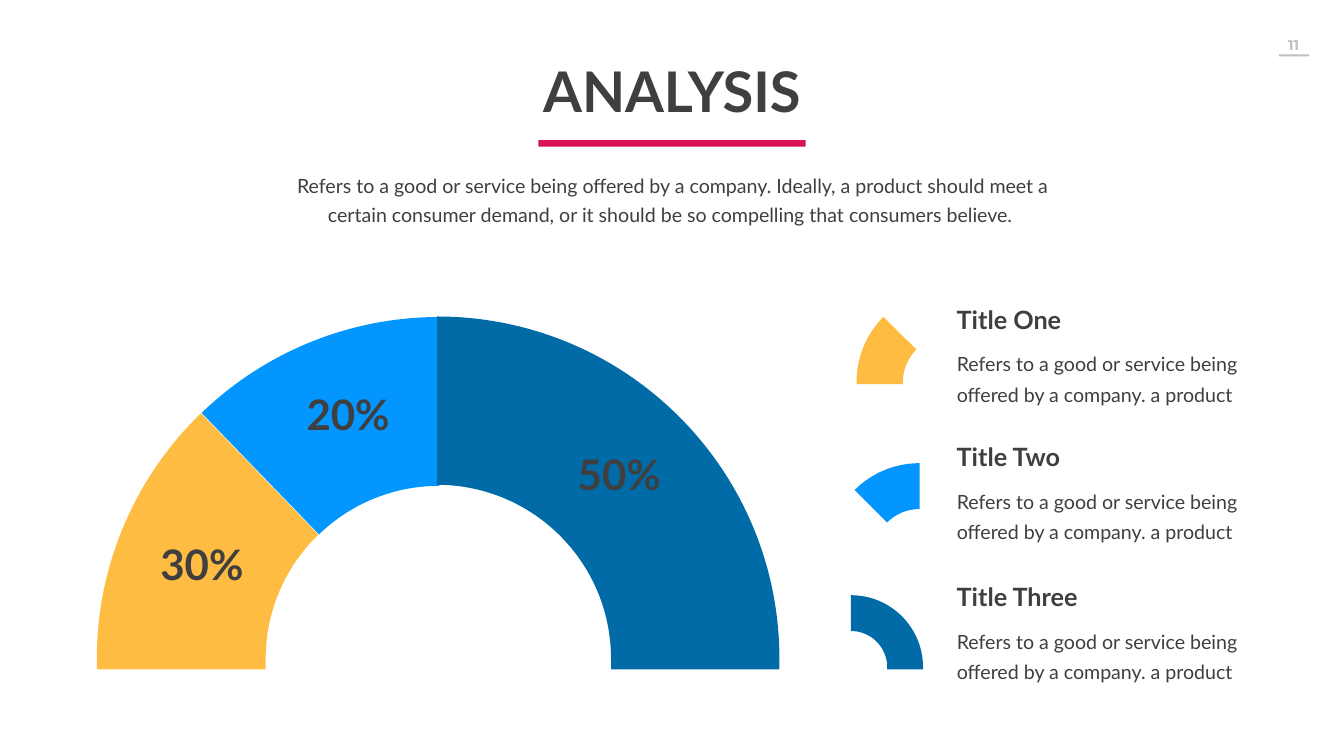
from dataclasses import dataclass
from math import cos, radians, sin, tan

from lxml.etree import SubElement
from pptx import Presentation
from pptx.dml.color import RGBColor
from pptx.enum.shapes import MSO_SHAPE
from pptx.enum.text import MSO_AUTO_SIZE, PP_ALIGN
from pptx.oxml.ns import qn
from pptx.util import Inches, Pt


@dataclass(frozen=True)
class Theme:
    ink: str = "3F3F3F"
    gray: str = "BFBFBF"
    red: str = "D81159"
    gold: str = "FFBC42"
    sky: str = "0496FF"
    navy: str = "006BA6"
    font: str = "Lato"
    alt: str = "Montserrat"
    title: int = 80
    value: int = 60
    head: int = 36
    body: int = 28
    page: int = 20


theme = Theme()
deck = Presentation()
deck.slide_width, deck.slide_height = Inches(26.66), Inches(15)
slide = deck.slides.add_slide(deck.slide_layouts[6])


def write(text, box, size, bold=True, align=PP_ALIGN.CENTER, lead=None,
          pad=(0.1, 0.05), font=theme.font, color=theme.ink):
    frame = slide.shapes.add_textbox(*map(Inches, box)).text_frame
    frame.word_wrap = True
    frame.auto_size = MSO_AUTO_SIZE.SHAPE_TO_FIT_TEXT
    frame.margin_left = frame.margin_right = Inches(pad[0])
    frame.margin_top = frame.margin_bottom = Inches(pad[1])
    para = frame.paragraphs[0]
    para.alignment = align
    if lead:
        para.line_spacing = Pt(lead)
    run = para.add_run()
    run.text = text
    run.font.size, run.font.bold, run.font.name = Pt(size), bold, font
    run.font.color.rgb = RGBColor.from_string(color)


def wedge(mid, outer, inner, start, end, drop, color):
    """Draw a ring slice; its ends on the base line reach down by drop."""
    points, curves = [], []
    for size, first, last in ((outer, start, end), (inner, end, start)):
        a, b = radians(first), radians(last)
        pull = 4 / 3 * tan((b - a) / 4)
        curves.append(len(points))
        points += [(cos(a) * size, sin(a) * size),
                   ((cos(a) - pull * sin(a)) * size,
                    (sin(a) + pull * cos(a)) * size),
                   ((cos(b) + pull * sin(b)) * size,
                    (sin(b) - pull * cos(b)) * size),
                   (cos(b) * size, sin(b) * size)]
        if last in (0, 180):
            ends = (outer, inner) if last == 0 else (inner, outer)
            points += [(cos(b) * foot, -drop) for foot in ends]
    spots = [(Inches(mid[0] + x), Inches(mid[1] - y)) for x, y in points]
    draft = slide.shapes.build_freeform(*spots[0], scale=1.0)
    draft.add_line_segments(spots[1:], close=True)
    shape = draft.convert_to_shape()

    # Turn each arc's three segments into one Bezier curve
    track = shape.element.find(".//" + qn("a:path"))
    parts = list(track)
    for at in curves:
        curve = SubElement(track, qn("a:cubicBezTo"))
        track.replace(parts[at + 1], curve)
        for part in parts[at + 1:at + 4]:
            curve.append(part[0])
        for part in parts[at + 2:at + 4]:
            track.remove(part)

    shape.shadow.inherit = False
    shape.fill.solid()
    shape.fill.fore_color.rgb = RGBColor.from_string(color)
    shape.line.fill.background()


# Page number, title and intro
write("11", (25.19, 0.62, 0.94, 0.54), theme.page, pad=(0.2, 0.1),
      font=theme.alt, color=theme.gray)
write("ANALYSIS", (9.99, 1.08, 6.68, 1.45), theme.title)
write("Refers to a good or service being offered by a company. Ideally, "
      "a product should meet a certain consumer demand, or it should be "
      "so compelling that consumers believe. ",
      (5.7, 3.31, 15.28, 1.19), theme.body, bold=False, lead=40.8)

# Rules under the page number and the title
for box, color in (((25.37, 1.08, 0.6, 0.04), theme.gray),
                   ((10.68, 2.78, 5.3, 0.13), theme.red)):
    bar = slide.shapes.add_shape(MSO_SHAPE.RECTANGLE, *map(Inches, box))
    bar.shadow.inherit = False
    bar.fill.solid()
    bar.fill.fore_color.rgb = RGBColor.from_string(color)
    bar.line.fill.background()

# Half ring
for x, outer, inner, start, end, color in (
        (8.71, 6.78, 3.43, 134, 90, theme.sky),
        (8.69, 6.77, 3.42, 180, 134, theme.gold),
        (8.67, 6.79, 3.45, 90, 0, theme.navy)):
    wedge((x, 13.07), outer, inner, start, end, 0.21, color)

# Legend: small slice, note and heading
for name, top, mid, outer, inner, start, end, color in (
        ("One", 5.98, (18.82, 7.58), 1.83, 0.91, 180, 135, theme.gold),
        ("Two", 8.71, (18.24, 11.01), 1.82, 0.91, 135, 90, theme.sky),
        ("Three", 11.48, (16.88, 13.24), 1.43, 0.72, 90, 0, theme.navy)):
    wedge(mid, outer, inner, start, end, 0.04, color)
    write("Refers to a good or service being offered by a company. a product",
          (18.74, top + 0.76, 6.23, 1.38), theme.body, bold=False,
          align=PP_ALIGN.LEFT, lead=43, pad=(0.24, 0.12))
    write(f"Title {name}", (18.88, top, 5.14, 0.71), theme.head,
          align=PP_ALIGN.LEFT)

# Values on the half ring
for label, left, top in (("30%", 2.47, 10.64), ("20%", 5.37, 7.66),
                         ("50%", 10.75, 8.85)):
    write(label, (left, top, 3.07, 1.11), theme.value)

deck.save("out.pptx")
